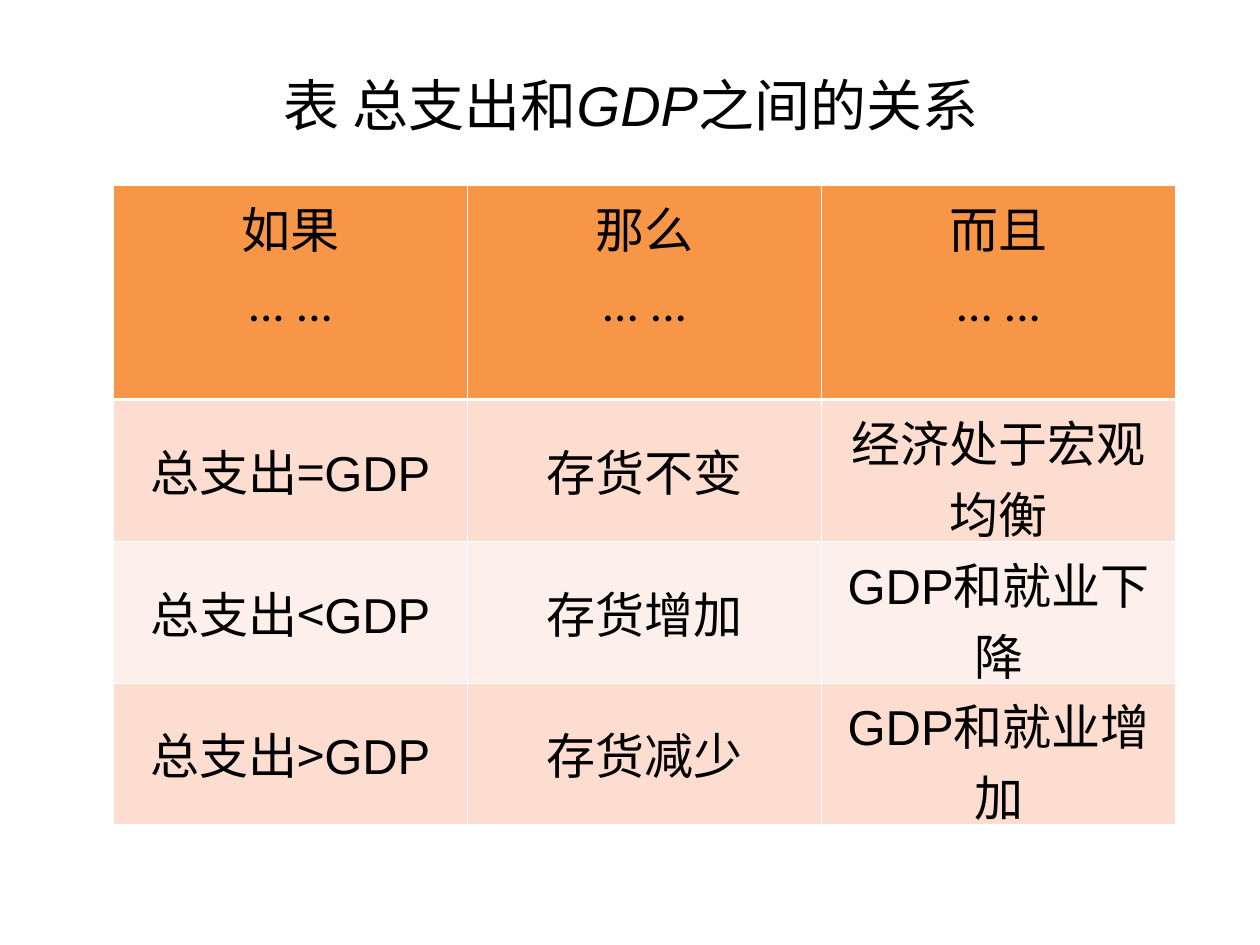
from lxml import etree
from pptx import Presentation
from pptx.dml.color import RGBColor
from pptx.enum.text import MSO_ANCHOR as Anchor, PP_ALIGN as Align
from pptx.oxml.ns import qn
from pptx.util import Inches, Pt

CJK, LATIN, HEAD = "Noto Sans CJK SC", "Arial", "Calibri"
BLACK = RGBColor(0x00, 0x00, 0x00)
WHITE = RGBColor(0xFF, 0xFF, 0xFF)
ORANGE = RGBColor(0xF7, 0x96, 0x46)
PEACH = RGBColor(0xFC, 0xDD, 0xCF)
PALE = RGBColor(0xFD, 0xEF, 0xE9)

TITLE = [("表 总支出和", CJK), ("GDP", LATIN), ("之间的关系", CJK)]
HEADERS = ["如果", "那么", "而且"]
ROWS = [
    ([("总支出=", CJK), ("GDP", LATIN)], [("存货不变", CJK)],
     [("经济处于宏观均衡", CJK)]),
    ([("总支出<", CJK), ("GDP", LATIN)], [("存货增加", CJK)],
     [("GDP", LATIN), ("和就业下降", CJK)]),
    ([("总支出>", CJK), ("GDP", LATIN)], [("存货减少", CJK)],
     [("GDP", LATIN), ("和就业增加", CJK)]),
]
ROW_HEIGHTS = [1.7, 1.13, 1.12, 1.12]
COL_WIDTH = 2.81


def write_runs(p, runs, size):
    p.alignment = Align.CENTER
    for text, font in runs:
        r = p.add_run()
        r.text = text
        for name, value in {"name": font, "size": Pt(size)}.items():
            setattr(r.font, name, value)
        r.font.color.rgb = BLACK
        if font == CJK:
            latin = r.font._element.find(qn("a:latin"))
            ea = etree.Element(qn("a:ea"), typeface=font)
            latin.addnext(ea)


def set_borders(cell, widths):
    tc_pr = cell._tc.get_or_add_tcPr()
    for i, (side, width) in enumerate(widths.items()):
        ln = etree.Element(qn(f"a:ln{side}"), w=str(Pt(width)))
        fill = etree.SubElement(ln, qn("a:solidFill"))
        etree.SubElement(fill, qn("a:srgbClr"), val=str(WHITE))
        tc_pr.insert(i, ln)


def add_title(s):
    tf = s.shapes.add_textbox(Inches(0.51), Inches(0.36), Inches(9), Inches(0.94)).text_frame
    tf.word_wrap = True
    tf.vertical_anchor = Anchor.MIDDLE
    p = tf.paragraphs[0]
    write_runs(p, TITLE, 32)
    p.runs[1].font.italic = True


def add_relation_table(s):
    cells = [[[[(head, HEAD)], [("... ...", HEAD)]] for head in HEADERS]]
    cells += [[[runs] for runs in row] for row in ROWS]
    table = s.shapes.add_table(
        len(cells), len(HEADERS), Inches(0.9), Inches(1.47),
        Inches(COL_WIDTH * len(HEADERS)), Inches(sum(ROW_HEIGHTS))).table
    for col in table.columns:
        col.width = Inches(COL_WIDTH)
    for i, row in enumerate(cells):
        table.rows[i].height = Inches(ROW_HEIGHTS[i])
        for j, paragraphs in enumerate(row):
            cell = table.cell(i, j)
            cell.vertical_anchor = Anchor.MIDDLE if i else Anchor.TOP
            cell.fill.solid()
            cell.fill.fore_color.rgb = (PEACH if i % 2 else PALE) if i else ORANGE
            set_borders(cell, {"L": 0.45, "R": 0.45,
                               "T": 1.47 if i == 1 else 0.45,
                               "B": 1.47 if i == 0 else 0.45})
            tf = cell.text_frame
            for k, runs in enumerate(paragraphs):
                p = tf.add_paragraph() if k else tf.paragraphs[0]
                if k:
                    p.space_before = Pt(7)
                write_runs(p, runs, 28)


def main():
    prs = Presentation()
    prs.slide_width, prs.slide_height = Inches(10), Inches(7.5)
    s = prs.slides.add_slide(prs.slide_layouts[6])
    add_title(s)
    add_relation_table(s)
    prs.save("out.pptx")


if __name__ == "__main__":
    main()
